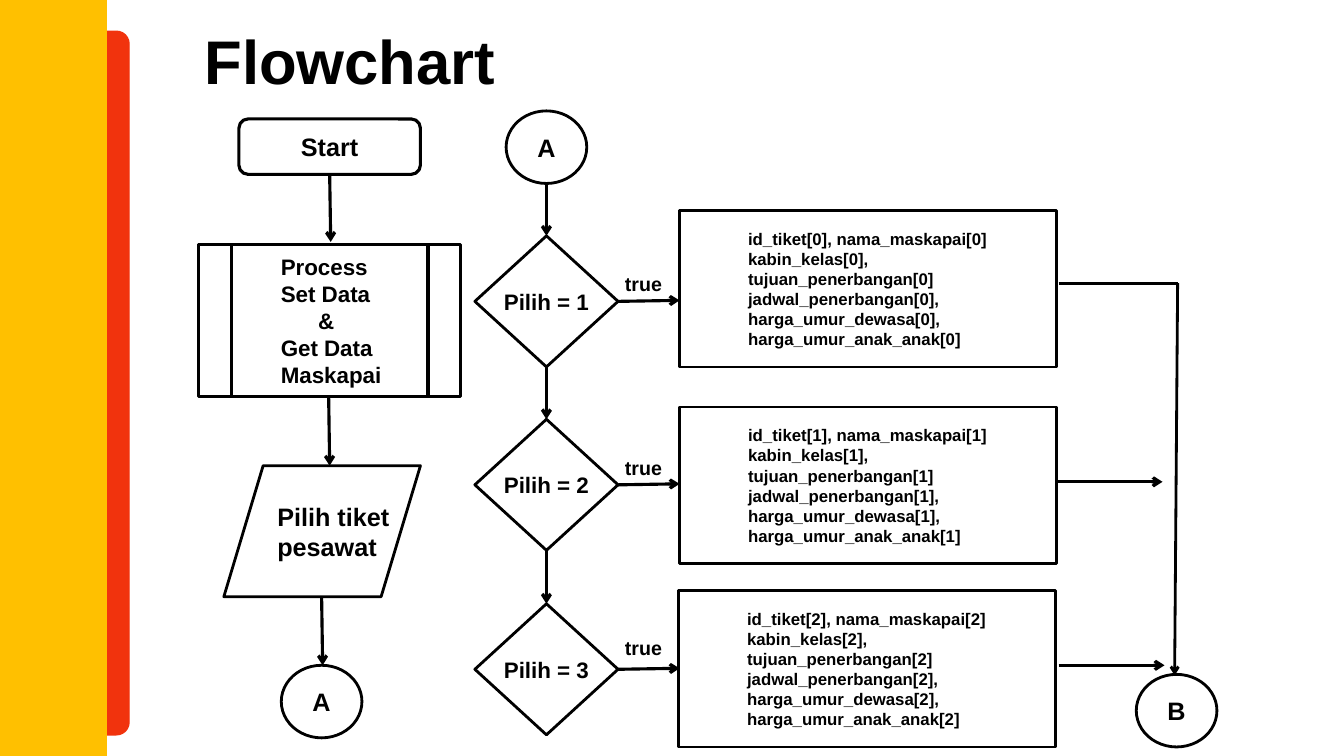
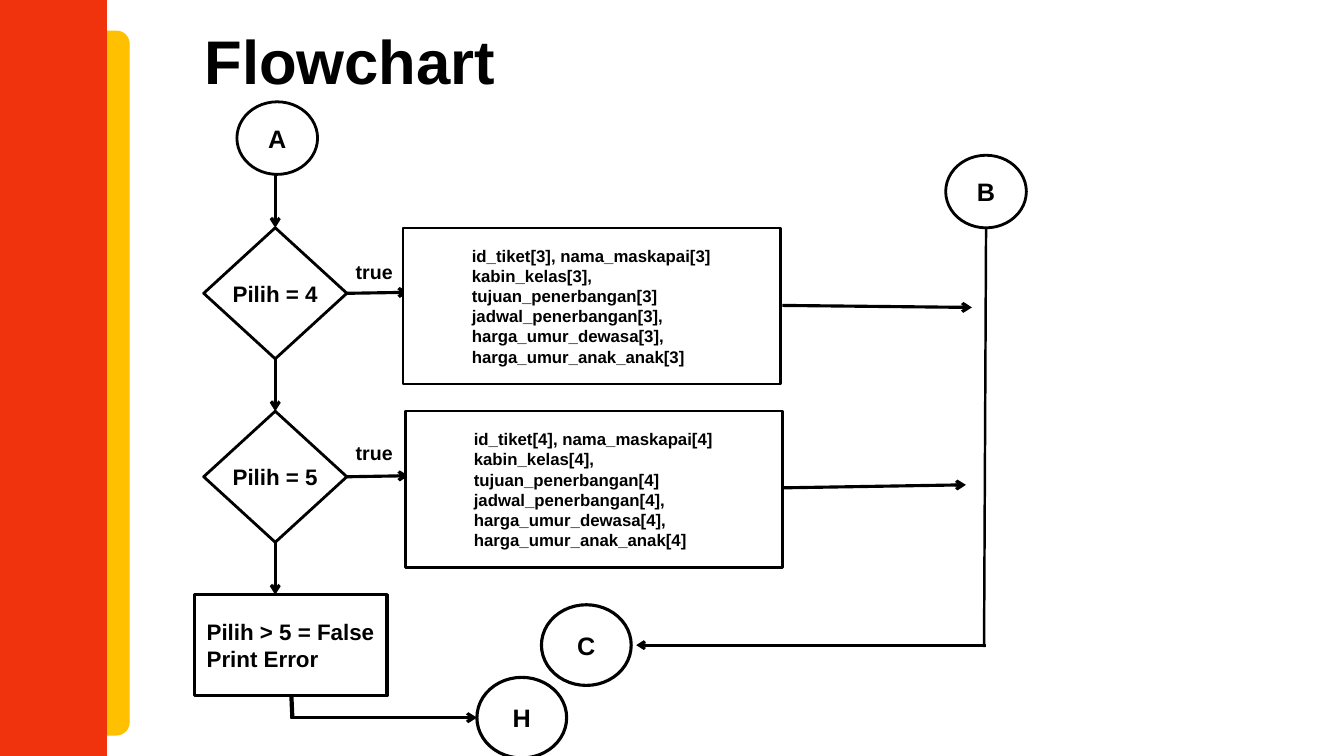
from lxml import etree
from pptx import Presentation
from pptx.dml.color import RGBColor
from pptx.enum.shapes import MSO_CONNECTOR as Connector, MSO_SHAPE as Shape
from pptx.enum.text import MSO_ANCHOR as Anchor, PP_ALIGN as Align
from pptx.oxml.ns import qn
from pptx.util import Inches, Pt

BLACK, WHITE, RED, YELLOW = "000000", "FFFFFF", "F1330D", "FFC000"
FONT = "Arial"
LEFT, CENTER = Align.LEFT, Align.CENTER

CIRCLE_SIZE = (0.8, 0.72)
LARGE_CIRCLE_SIZE = (0.89, 0.8)
DIAMOND_WIDTH, DIAMOND_HEIGHT = 1.42, 1.3
TICKET_WIDTH, TICKET_HEIGHT = 3.74, 1.55
ARROW_LENGTH = 0.52
TICKET_LINES = [
    "id_tiket[{0}], nama_maskapai[{0}]",
    "kabin_kelas[{0}],",
    "tujuan_penerbangan[{0}]",
    "jadwal_penerbangan[{0}],",
    "harga_umur_dewasa[{0}],",
    "harga_umur_anak_anak[{0}]",
]


def write(slide, text, box, kind=None, fill=WHITE, line=BLACK, weight=2, size=18,
          align=CENTER, wrap=False, margins=(0.1, 0.1), indents=()):
    lengths = [Inches(value) for value in box]
    if kind is None:
        shape = slide.shapes.add_textbox(*lengths)
    else:
        shape = slide.shapes.add_shape(kind, *lengths)
        shape.shadow.inherit = False
        shape.fill.solid()
        shape.fill.fore_color.rgb = RGBColor.from_string(fill)
        shape.line.color.rgb = RGBColor.from_string(line)
        shape.line.width = Pt(weight)
    if not text:
        return
    frame = shape.text_frame
    frame.text = text
    frame.word_wrap = wrap
    frame.vertical_anchor = Anchor.MIDDLE
    frame.margin_left, frame.margin_right = [Inches(value) for value in margins]
    frame.margin_top = frame.margin_bottom = Inches(0.05)
    for paragraph in frame.paragraphs:
        paragraph.alignment = align
        font = paragraph.font
        font.name, font.size, font.bold = FONT, Pt(size), True
        font.color.rgb = RGBColor.from_string(BLACK)
    for index, indent in indents:
        properties = frame.paragraphs[index]._p.get_or_add_pPr()
        properties.set("marL", str(Inches(indent)))


def connect(slide, start, end, weight=2.25, arrow=True):
    points = [Inches(value) for value in (*start, *end)]
    connector = slide.shapes.add_connector(Connector.STRAIGHT, *points)
    connector.line.color.rgb = RGBColor.from_string(BLACK)
    connector.line.width = Pt(weight)
    if arrow:
        etree.SubElement(connector.line._get_or_add_ln(), qn("a:tailEnd"), type="arrow")
    etree.SubElement(connector._element.spPr, qn("a:effectLst"))


presentation = Presentation()
presentation.slide_width = Inches(13.33)
presentation.slide_height = Inches(7.5)

pages = [
    {
        "bands": (RED, YELLOW),
        "diamond_left": 4.71,
        "true_left": 6.1,
        "choices": [
            (2.34, 2.64, 6.74, 2.09),
            (4.16, 4.47, 6.74, 4.04),
            (5.99, 6.26, 6.73, 5.86),
        ],
        "circles": [
            ("A", 2.79, 6.6, CIRCLE_SIZE, 2),
            ("A", 5.02, 1.1, CIRCLE_SIZE, 2),
            ("B", 11.27, 6.69, CIRCLE_SIZE, 2),
        ],
        "arrows": [
            ((3.27, 1.73), (3.28, 2.4), 2.25, True),
            ((3.26, 3.95), (3.27, 4.62), 2.25, True),
            ((3.19, 5.92), (3.2, 6.6), 2.25, True),
            ((10.5, 2.81), (11.68, 2.81), 2, False),
            ((10.48, 4.78), (11.53, 4.78), 2.25, True),
            ((10.5, 6.6), (11.55, 6.6), 2.25, True),
            ((11.68, 2.81), (11.65, 6.7), 2, True),
        ],
    },
    {
        "bands": (YELLOW, RED),
        "diamond_left": 2.02,
        "true_left": 3.43,
        "choices": [
            (2.26, 2.53, 4, 2.26),
            (4.08, 4.32, 4.02, 4.08),
        ],
        "circles": [
            ("A", 2.35, 1.01, CIRCLE_SIZE, 2),
            ("B", 9.38, 1.54, CIRCLE_SIZE, 2),
            ("C", 5.37, 6, LARGE_CIRCLE_SIZE, 2.25),
            ("H", 4.73, 6.72, LARGE_CIRCLE_SIZE, 2.25),
        ],
        "arrows": [
            ((2.73, 5.38), (2.73, 5.9), 2.25, True),
            ((7.76, 3.03), (9.64, 3.05), 2.25, True),
            ((7.76, 4.84), (9.58, 4.81), 2.25, True),
            ((9.78, 2.26), (9.76, 6.42), 1.75, False),
            ((9.78, 6.4), (6.31, 6.4), 2, True),
            ((2.89, 6.9), (2.9, 7.13), 3, False),
            ((2.89, 7.12), (4.73, 7.12), 2.25, True),
        ],
    },
]

slides = []
ticket = 0
for page in pages:
    slide = presentation.slides.add_slide(presentation.slide_layouts[6])
    slides.append(slide)
    back, front = page["bands"]
    write(slide, "", (0.53, 0.31, 0.75, 6.98), Shape.ROUNDED_RECTANGLE, back, back, 1)
    write(slide, "", (0, -0.02, 1.05, 7.59), Shape.RECTANGLE, front, front, 1)
    write(slide, "Flowchart", (1.93, 0.17, 3.09, 0.84), size=44, align=LEFT)

    diamond_left = page["diamond_left"]
    center = diamond_left + DIAMOND_WIDTH / 2
    right = diamond_left + DIAMOND_WIDTH
    for top, true_top, ticket_left, ticket_top in page["choices"]:
        middle = top + DIAMOND_HEIGHT / 2
        connect(slide, (center, top - ARROW_LENGTH), (center, top))
        write(slide, f"Pilih = {ticket + 1}", (diamond_left, top, DIAMOND_WIDTH, DIAMOND_HEIGHT),
              Shape.FLOWCHART_DECISION, size=16)
        connect(slide, (right, middle), (right + 0.61, middle - 0.01))
        write(slide, "true", (page["true_left"], true_top, 0.57, 0.34), size=14, align=LEFT)
        write(slide, "\n".join(TICKET_LINES).format(ticket),
              (ticket_left, ticket_top, TICKET_WIDTH, TICKET_HEIGHT), Shape.FLOWCHART_PROCESS,
              weight=1.75, size=12, align=LEFT, wrap=True, margins=(0.68, 0.1))
        ticket += 1

    for arrow in page["arrows"]:
        connect(slide, *arrow)
    for letter, left, top, dimensions, weight in page["circles"]:
        write(slide, letter, (left, top, *dimensions), Shape.OVAL, weight=weight)

first, second = slides
write(first, "Start", (2.37, 1.18, 1.8, 0.55), Shape.FLOWCHART_ALTERNATE_PROCESS, weight=2.25)
write(first, "Process\nSet Data\n&\nGet Data\nMaskapai", (1.97, 2.43, 2.6, 1.5),
      Shape.FLOWCHART_PREDEFINED_PROCESS, weight=2.25, size=16, align=LEFT, wrap=True,
      margins=(0.49, 0), indents=[(2, 0.37)])
write(first, "Pilih tiket\npesawat", (2.22, 4.62, 1.95, 1.3), Shape.FLOWCHART_DATA,
      align=LEFT, margins=(0.14, 0))
write(second, "Pilih > 5 = False\nPrint Error", (1.93, 5.9, 1.91, 1), Shape.RECTANGLE,
      weight=2.5, size=16, align=LEFT, wrap=True, margins=(0.12, 0))

presentation.save("out.pptx")
